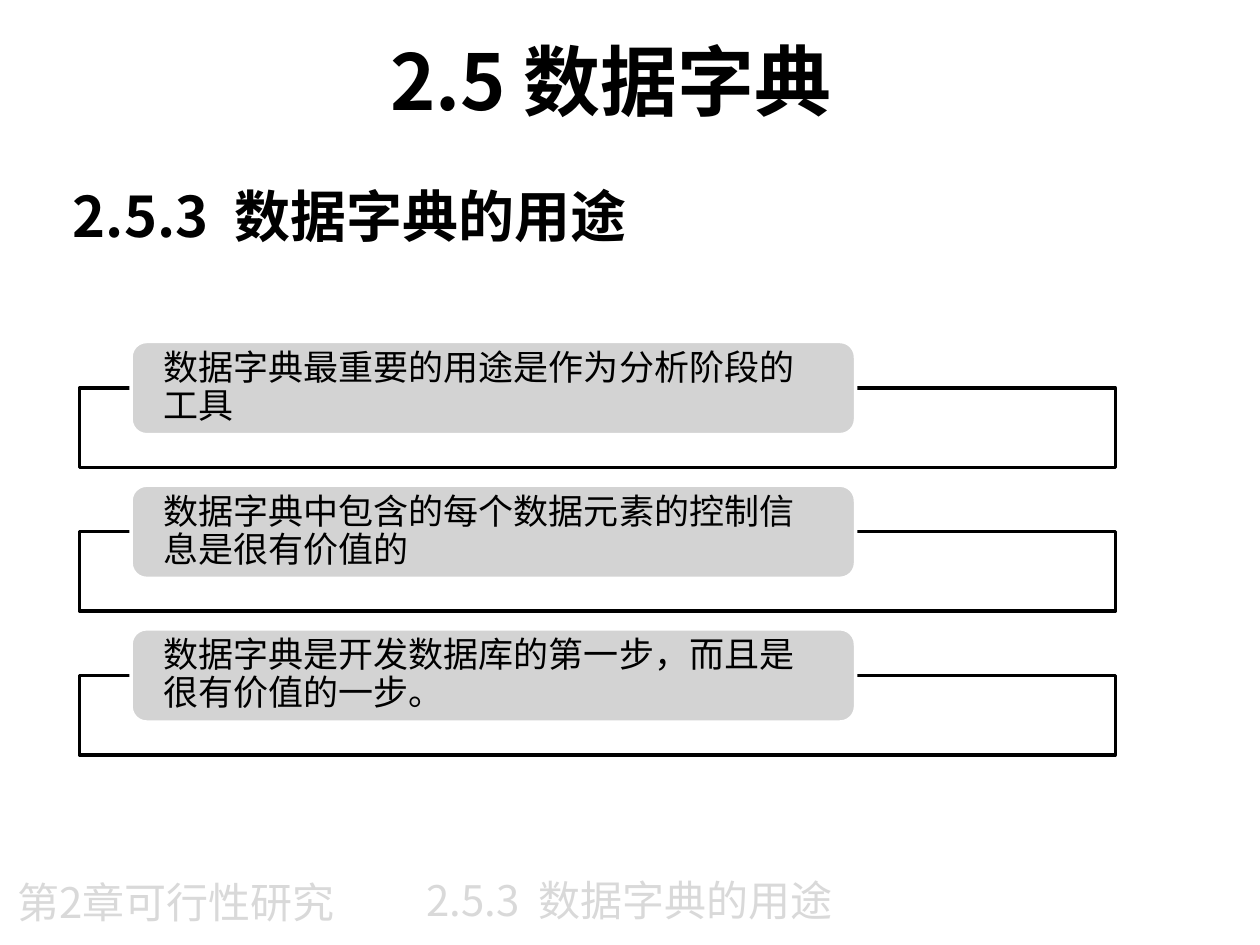
from typing import NamedTuple

from lxml.etree import SubElement
from pptx import Presentation
from pptx.dml.color import RGBColor
from pptx.enum.shapes import MSO_SHAPE as Preset
from pptx.enum.text import MSO_ANCHOR as Anchor, PP_ALIGN as Align
from pptx.oxml.ns import qn
from pptx.util import Pt

COLORS = {"ink": "000000", "paper": "FFFFFF", "label": "D3D3D3", "footer": "D9D9D9"}
NOTO = "Noto Sans CJK SC"
ARIAL = "Arial"
SECTION = "2.5.3  数据字典的用途"
USES = [
    "数据字典最重要的用途是作为分析阶段的工具",
    "数据字典中包含的每个数据元素的控制信息是很有价值的",
    "数据字典是开发数据库的第一步，而且是很有价值的一步。",
]
FIRST_FRAME_TOP = 221.75
ROW_PITCH = 82.1
LABEL_RISE = 26.6


class Box(NamedTuple):
    left: float
    top: float
    width: float
    height: float

    def lengths(self) -> list:
        return [Pt(value) for value in self]


def color(name: str) -> RGBColor:
    return RGBColor.from_string(COLORS[name])


def write(paragraph, text: str, *, size: float, font: str = NOTO,
          ink: str = "ink", bold: bool = False, align=Align.LEFT) -> None:
    paragraph.alignment = align
    run = paragraph.add_run()
    run.text = text
    run.font.size = Pt(size)
    run.font.bold = bold
    run.font.color.rgb = color(ink)
    run.font.name = font
    SubElement(run.font._element, qn("a:ea")).set("typeface", font)


def add_caption(slide, box: Box, text: str, anchor=Anchor.MIDDLE, **text_format) -> None:
    frame = slide.shapes.add_textbox(*box.lengths()).text_frame
    frame.word_wrap = True
    frame.vertical_anchor = anchor
    write(frame.paragraphs[0], text, **text_format)


def add_panel(slide, preset, box: Box, fill: str, line: str):
    panel = slide.shapes.add_shape(preset, *box.lengths())
    panel.shadow.inherit = False
    panel.fill.solid()
    panel.fill.fore_color.rgb = color(fill)
    panel.line.color.rgb = color(line)
    panel.line.width = Pt(2)
    return panel


def add_use(slide, top: float, text: str) -> None:
    add_panel(slide, Preset.RECTANGLE, Box(45.4, top, 592, 45.4), "paper", "ink")
    label = add_panel(slide, Preset.ROUNDED_RECTANGLE,
                      Box(74.9, top - LABEL_RISE, 414, 53.3), "label", "paper")
    frame = label.text_frame
    frame.word_wrap = True
    frame.vertical_anchor = Anchor.MIDDLE
    frame.margin_left = frame.margin_right = Pt(15.84)
    frame.margin_top = frame.margin_bottom = 0
    paragraph = frame.paragraphs[0]
    paragraph.line_spacing = 0.9
    write(paragraph, text, size=20, font=ARIAL)


def add_title(slide) -> None:
    title = slide.shapes.title
    title.left, title.top, title.width, title.height = Box(25.2, 0.7, 648, 90).lengths()
    title.text_frame.vertical_anchor = Anchor.MIDDLE
    heading = title.text_frame.paragraphs[0]
    for text, font in (("2.5 ", NOTO), ("数据字典", ARIAL)):
        write(heading, text, size=44, font=font, bold=True, align=Align.CENTER)


def main() -> None:
    deck = Presentation()
    deck.slide_width, deck.slide_height = Pt(720), Pt(540)
    slide = deck.slides.add_slide(deck.slide_layouts[5])
    add_title(slide)
    add_caption(slide, Box(34.6, 100, 365, 46), SECTION, Anchor.TOP, size=32, bold=True)
    for row, use in enumerate(USES):
        add_use(slide, FIRST_FRAME_TOP + row * ROW_PITCH, use)
    footer = {"size": 24, "ink": "footer", "align": Align.CENTER}
    add_caption(slide, Box(218.2, 495.4, 283, 37.4), SECTION, **footer)
    add_caption(slide, Box(-8.6, 496.8, 218.2, 37.4), "第2章可行性研究", **footer)
    deck.save("out.pptx")


if __name__ == "__main__":
    main()
